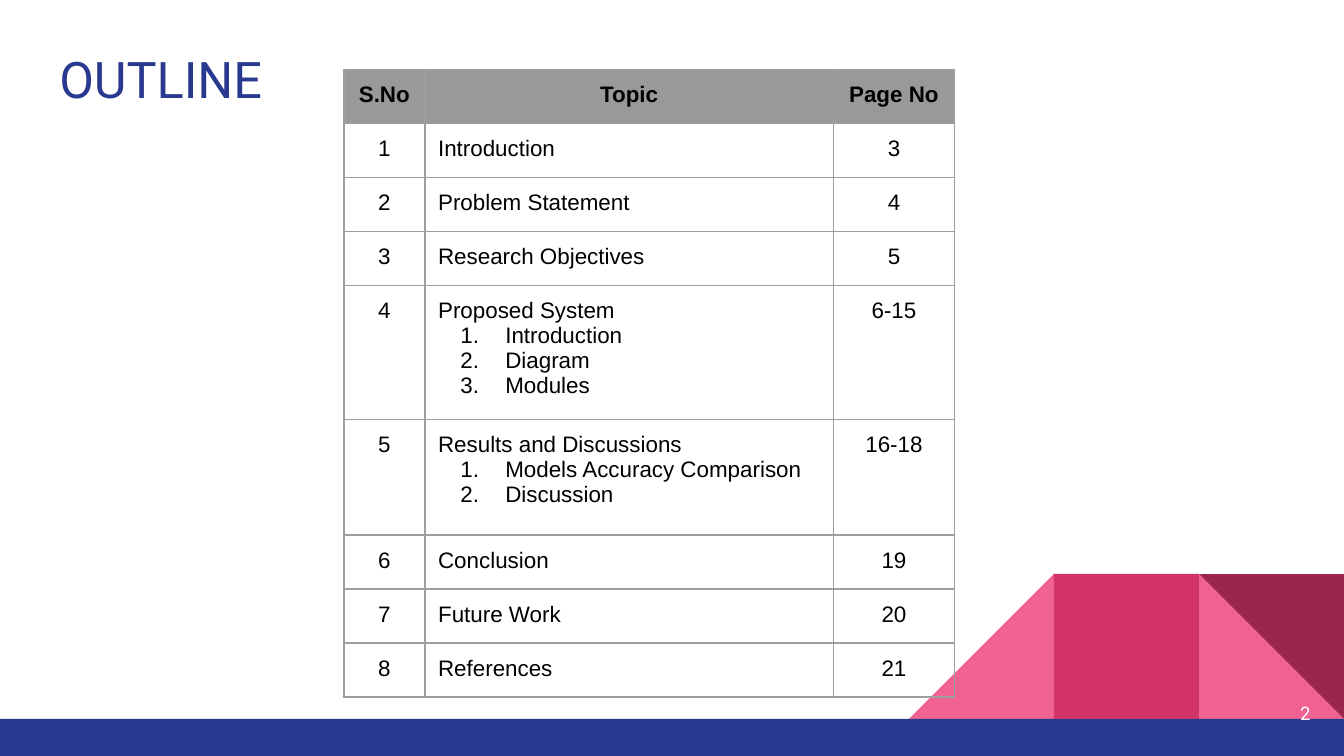
import pptx
import pptx.dml.color
import pptx.enum.shapes
import pptx.enum.text
import pptx.oxml.ns
import pptx.util
from lxml import etree

Cm, Pt = pptx.util.Cm, pptx.util.Pt
RGBColor = pptx.dml.color.RGBColor
SHAPE = pptx.enum.shapes.MSO_SHAPE
ALIGN = pptx.enum.text.PP_ALIGN
ANCHOR = pptx.enum.text.MSO_ANCHOR
qn = pptx.oxml.ns.qn

NAVY = RGBColor(0x2A, 0x39, 0x90)
PINK = RGBColor(0xF0, 0x62, 0x92)
ROSE = RGBColor(0xD2, 0x33, 0x69)
WINE = RGBColor(0x9C, 0x25, 0x4D)
HEADER_GREY = RGBColor(0x99, 0x99, 0x99)
BORDER_GREY = RGBColor(0x9E, 0x9E, 0x9E)
BLACK = RGBColor(0, 0, 0)
WHITE = RGBColor(0xFF, 0xFF, 0xFF)

WIDTH, HEIGHT = 25.4, 14.29
BAND = 0.7
INSET = Cm(0.25)
COLUMNS = [1.53, 7.72, 2.29]
ROW_HEIGHT = 1.02
TALL_ROWS = {4: 2.53, 5: 2.19}
HEADER = ("S.No", ["Topic"], "Page No")
TOPICS = [
    (["Introduction"], "3"),
    (["Problem Statement"], "4"),
    (["Research Objectives"], "5"),
    (["Proposed System", "Introduction", "Diagram", "Modules"], "6-15"),
    (["Results and Discussions", "Models Accuracy Comparison", "Discussion"], "16-18"),
    (["Conclusion"], "19"),
    (["Future Work"], "20"),
    (["References"], "21"),
]


def style_para(para, font, size, color, align=ALIGN.LEFT, bold=False):
    """Format a paragraph and all its runs."""
    para.alignment = align
    for span in para.runs:
        span.font.name = font
        span.font.size = Pt(size)
        span.font.bold = bold
        span.font.color.rgb = color


def set_insets(frame):
    """Give a text frame equal margins on all sides."""
    frame.margin_left = frame.margin_right = INSET
    frame.margin_top = frame.margin_bottom = INSET


def add_block(page, kind, left, top, width, height, color):
    """Add a plain filled shape without outline or shadow."""
    block = page.shapes.add_shape(kind, Cm(left), Cm(top), Cm(width), Cm(height))
    block.shadow.inherit = False
    block.fill.solid()
    block.fill.fore_color.rgb = color
    block.line.fill.background()
    return block


def add_decoration(page, right, bottom, side):
    """Place the pink blocks against the right edge, standing on bottom."""
    top = bottom - side
    outer, middle, inner = (right - count * side for count in (1, 2, 3))
    add_block(page, SHAPE.RIGHT_TRIANGLE, outer, top, side, side, PINK)
    slope = add_block(page, SHAPE.RIGHT_TRIANGLE, inner, top, side, side, PINK)
    slope._element.spPr.find(qn("a:xfrm")).set("flipH", "1")
    add_block(page, SHAPE.RECTANGLE, middle, top, side, side, ROSE)
    corner = add_block(page, SHAPE.RIGHT_TRIANGLE, outer, top, side, side, WINE)
    corner.rotation = 180


def add_title(page, left, top, width, height):
    """Move and format the title placeholder."""
    title = page.shapes.title
    title.left, title.top, title.width, title.height = map(Cm, (left, top, width, height))
    frame = title.text_frame
    frame.text = "OUTLINE"
    frame.vertical_anchor = ANCHOR.TOP
    set_insets(frame)
    style_para(frame.paragraphs[0], "Roboto", 27, NAVY)


def add_page_number(page, left, top, width, height):
    """Add the page number in the lower right corner."""
    box = page.shapes.add_textbox(Cm(left), Cm(top), Cm(width), Cm(height))
    frame = box.text_frame
    frame.word_wrap = True
    frame.text = "2"
    frame.vertical_anchor = ANCHOR.MIDDLE
    set_insets(frame)
    style_para(frame.paragraphs[0], "Roboto", 10, WHITE, ALIGN.RIGHT)


def add_borders(cell):
    """Draw a thin grey line on every side of a cell."""
    properties = cell._tc.get_or_add_tcPr()
    for side in ("a:lnL", "a:lnR", "a:lnT", "a:lnB"):
        line = etree.SubElement(properties, qn(side), w=str(Pt(0.75)))
        fill = etree.SubElement(line, qn("a:solidFill"))
        etree.SubElement(fill, qn("a:srgbClr"), val=str(BORDER_GREY))


def number_para(para):
    """Turn a paragraph into an indented numbered item."""
    properties = para._p.get_or_add_pPr()
    properties.set("marL", str(Cm(1.27)))
    properties.set("indent", str(Cm(-0.85)))
    color = etree.SubElement(properties, qn("a:buClr"))
    etree.SubElement(color, qn("a:srgbClr"), val=str(BLACK))
    etree.SubElement(properties, qn("a:buAutoNum"), type="arabicPeriod")


def fill_cell(cell, lines, align, is_header):
    """Write a cell; lines after the first become numbered items."""
    add_borders(cell)
    if is_header:
        cell.fill.solid()
        cell.fill.fore_color.rgb = HEADER_GREY
    else:
        cell.fill.background()
    set_insets(cell)
    cell.text_frame.text = "\n".join(lines)
    for index, para in enumerate(cell.text_frame.paragraphs):
        style_para(para, "Arial", 12, BLACK, align, is_header)
        if index:
            number_para(para)


def add_outline_table(page, left, top):
    """Add the table of topics with its page numbers."""
    rows = [HEADER] + [(str(number), lines, pages)
                       for number, (lines, pages) in enumerate(TOPICS, 1)]
    heights = [TALL_ROWS.get(index, ROW_HEIGHT) for index in range(len(rows))]
    frame = page.shapes.add_table(len(rows), len(COLUMNS), Cm(left), Cm(top),
                                  Cm(sum(COLUMNS)), Cm(sum(heights)))
    table = frame.table
    table.first_row = table.horz_banding = False
    for column, width in zip(table.columns, COLUMNS):
        column.width = Cm(width)
    for index, (number, lines, pages) in enumerate(rows):
        table.rows[index].height = Cm(heights[index])
        is_header = index == 0
        topic_align = ALIGN.CENTER if is_header else ALIGN.LEFT
        fill_cell(table.cell(index, 0), [number], ALIGN.CENTER, is_header)
        fill_cell(table.cell(index, 1), lines, topic_align, is_header)
        fill_cell(table.cell(index, 2), [pages], ALIGN.CENTER, is_header)


def build_outline_page(deck):
    """Build the outline slide."""
    page = deck.slides.add_slide(deck.slide_layouts[5])
    floor = HEIGHT - BAND
    add_decoration(page, WIDTH, floor, 2.74)
    add_block(page, SHAPE.RECTANGLE, 0, floor, WIDTH, BAND, NAVY)
    add_title(page, 0.87, 0.66, 23.67, 1.68)
    add_page_number(page, 23.5, 12.93, 1.52, 1.09)
    add_outline_table(page, 6.5, 1.31)


deck = pptx.Presentation()
deck.slide_width, deck.slide_height = Cm(WIDTH), Cm(HEIGHT)
build_outline_page(deck)
deck.save("out.pptx")
